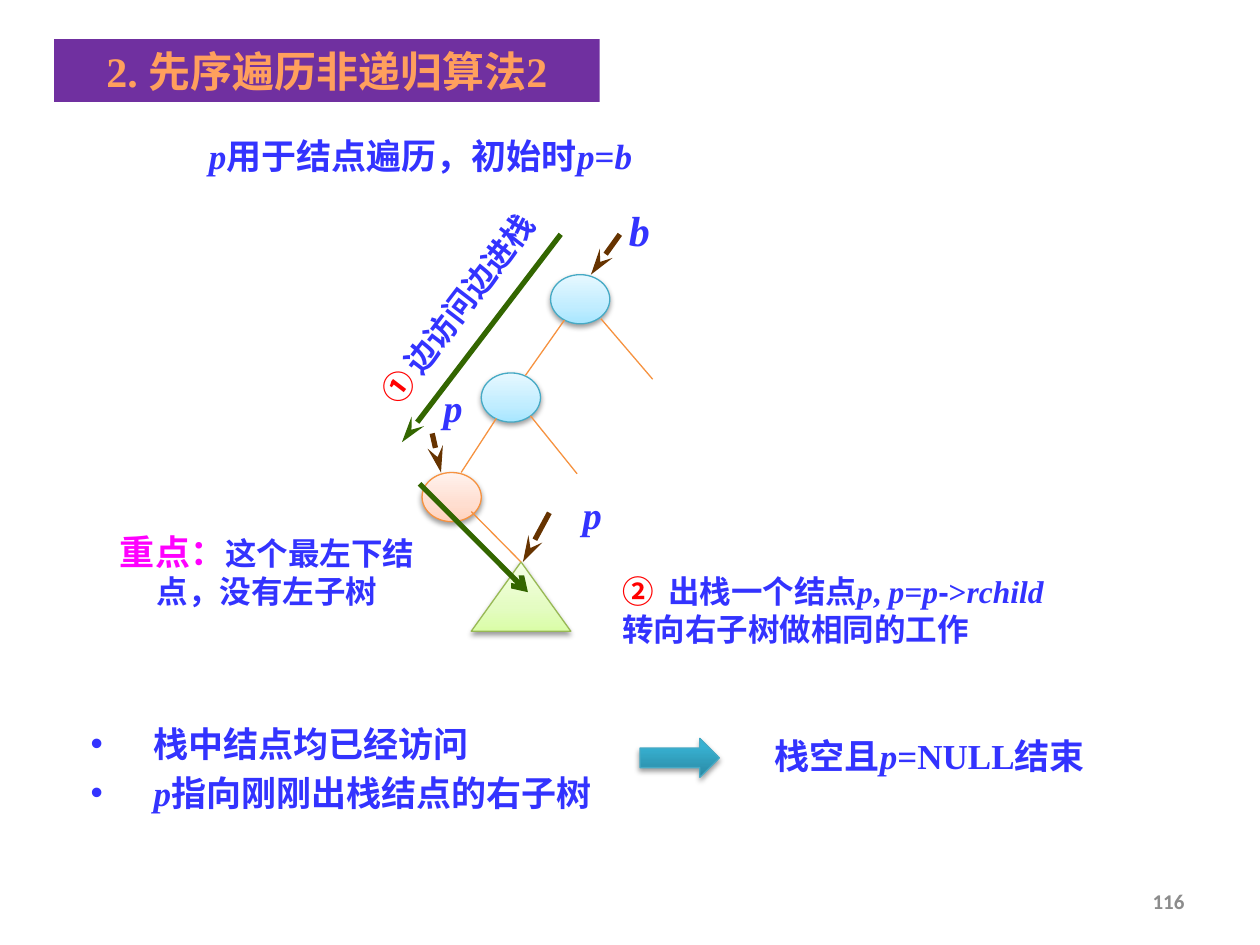
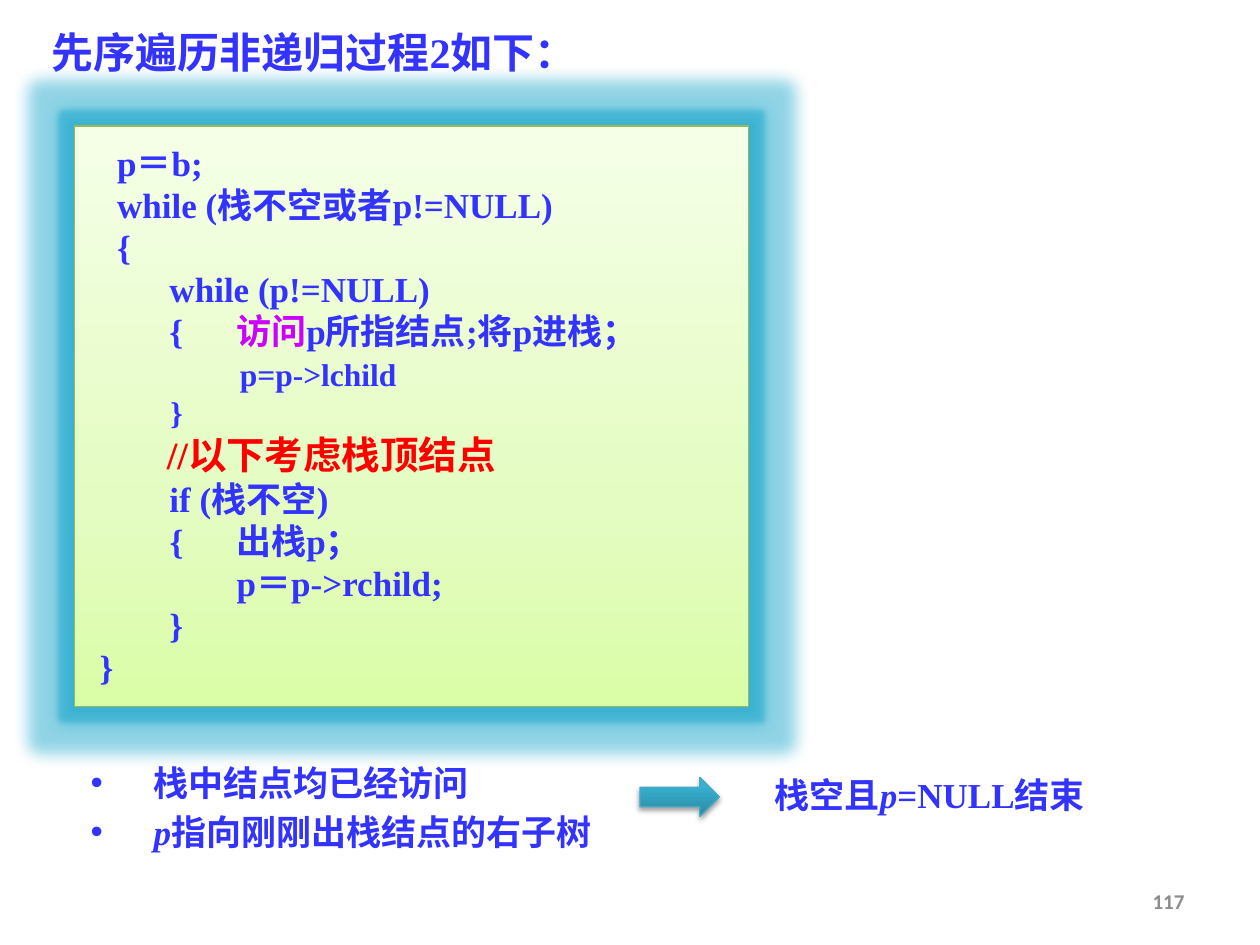
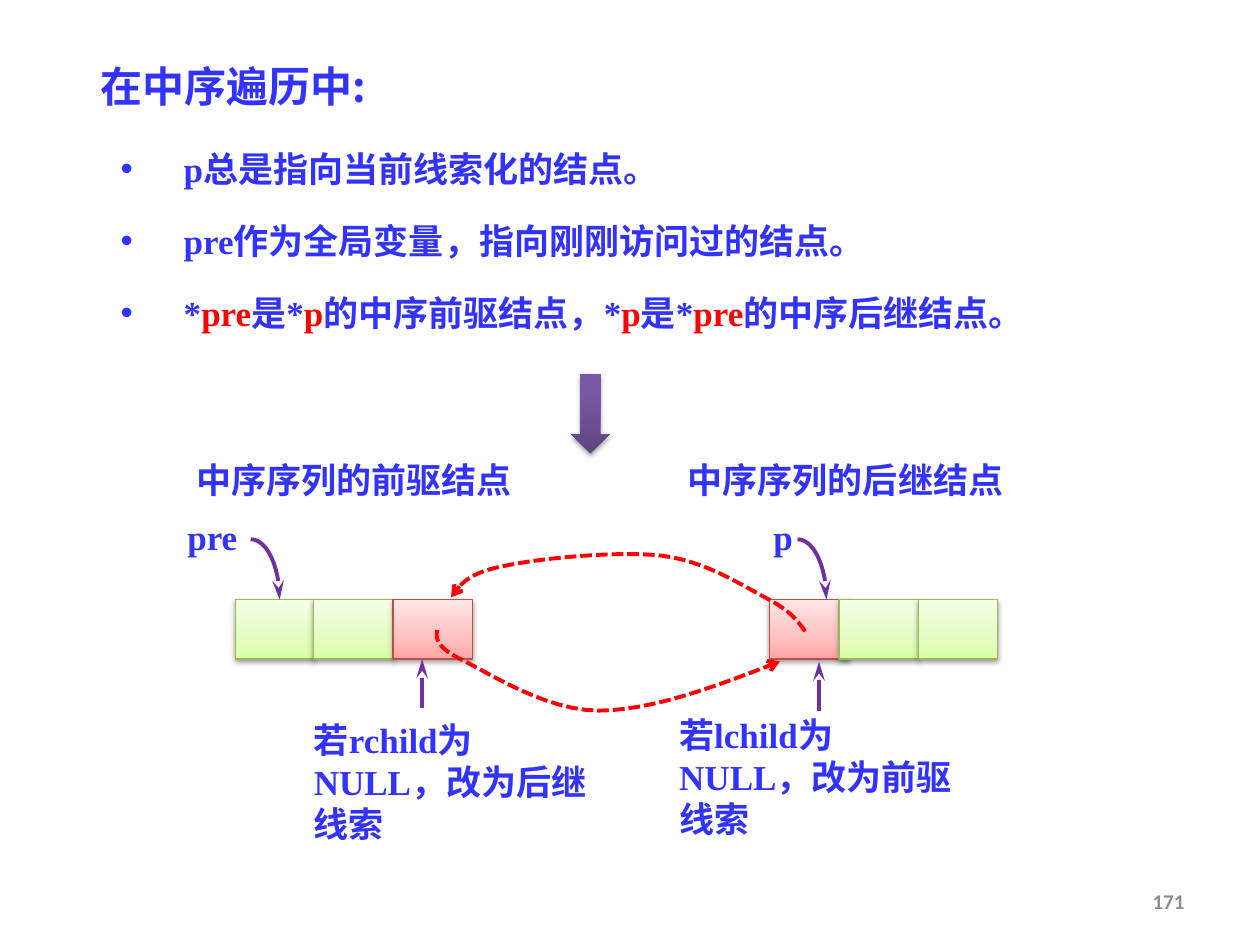
from lxml import etree
from pptx import Presentation
from pptx.dml.color import RGBColor
from pptx.enum.dml import MSO_LINE
from pptx.enum.shapes import MSO_CONNECTOR, MSO_SHAPE
from pptx.enum.text import MSO_ANCHOR, MSO_AUTO_SIZE, PP_ALIGN
from pptx.oxml.ns import qn
from pptx.util import Emu, Inches, Pt

LEFT, CENTER, RIGHT, JUSTIFY = PP_ALIGN.LEFT, PP_ALIGN.CENTER, PP_ALIGN.RIGHT, PP_ALIGN.JUSTIFY
TOP, MIDDLE = MSO_ANCHOR.TOP, MSO_ANCHOR.MIDDLE
GROW, FIXED = MSO_AUTO_SIZE.SHAPE_TO_FIT_TEXT, MSO_AUTO_SIZE.NONE
STRAIGHT, DASHED = MSO_CONNECTOR.STRAIGHT, MSO_LINE.SQUARE_DOT
OVAL, RECTANGLE, TRIANGLE = MSO_SHAPE.OVAL, MSO_SHAPE.RECTANGLE, MSO_SHAPE.ISOSCELES_TRIANGLE
RIGHT_ARROW, DOWN_ARROW = MSO_SHAPE.RIGHT_ARROW, MSO_SHAPE.DOWN_ARROW

SERIF, SANS, CHINESE, NUMBER = "Times New Roman", "Arial", "Noto Sans CJK SC", "Calibri"
HEAD_LENGTHS = {"stealth": "lg", "arrow": "med"}

COLORS = {
    "text": "3333FF", "red": "FF0000", "magenta": "FF00FF", "violet": "CC00FF",
    "band": "7030A0", "band_text": "FF9F5D", "page": "8C8C8C", "shadow": "000000",
    "edge": "F69240", "brown": "663300", "green": "336600", "purple": "7030A0",
    "glow": "36B1D2",
}
# Gradient stops from bottom to top, and the outline
PALETTES = {
    "blue": ([(0, "A7E6FF"), (35, "C1EDFF"), (100, "E7F8FF")], "46AAC5"),
    "orange": ([(0, "FFD2BD"), (35, "FFDED0"), (100, "FFF2ED")], "F69240"),
    "green": ([(0, "DAFDA7"), (35, "E4FCC2"), (100, "F5FFE7")], "98B955"),
    "red": ([(0, "FFA6A5"), (35, "FFC0BF"), (100, "FFE7E7")], "BF4C48"),
    "teal": ([(0, "2A88A2"), (80, "37B1D2"), (100, "34B4D6")], "46AAC5"),
    "purple": ([(0, "5F4480"), (80, "7B58A6"), (100, "7C57A8")], None),
}


def rgb(name):
    return RGBColor.from_string(COLORS.get(name, name))


def add_xml(parent, tag, **attributes):
    values = {key: str(value) for key, value in attributes.items()}
    return etree.SubElement(parent, qn(tag), values)


# Text
def add_run(paragraph, text, size, color="text", font=SERIF, bold=True, italic=False):
    run = paragraph.add_run()
    run.text = text
    run.font.size = Pt(size)
    run.font.name = font
    run.font.bold = bold
    run.font.italic = italic
    run.font.color.rgb = rgb(color)
    add_xml(run.font._element, "a:ea", typeface=CHINESE)


def write(shape, paragraphs, size, align=LEFT, inset=(0.1, 0.05, 0.1, 0.05), spacing=None,
          before=0, bullet=False, anchor=TOP, auto_size=GROW, **style):
    """Each paragraph is a list of runs: a string, or a string with its own style."""
    frame = shape.text_frame
    frame.word_wrap = True
    frame.auto_size = auto_size
    frame.vertical_anchor = anchor
    (frame.margin_left, frame.margin_top,
     frame.margin_right, frame.margin_bottom) = map(Inches, inset)
    for index, runs in enumerate(paragraphs):
        paragraph = frame.add_paragraph() if index else frame.paragraphs[0]
        paragraph.alignment = align
        if spacing:
            paragraph.line_spacing = spacing
        if index and before:
            paragraph.space_before = Pt(before)
        if bullet:
            properties = paragraph._p.get_or_add_pPr()
            properties.set("marL", str(Inches(0.5)))
            properties.set("indent", str(-Inches(0.5)))
            add_xml(properties, "a:buFont", typeface=SANS)
            add_xml(properties, "a:buChar", char="•")
        for item in runs:
            text, own = (item, {}) if isinstance(item, str) else item
            add_run(paragraph, text, **{"size": size, **style, **own})


def add_text(slide, box, paragraphs, size, **options):
    shape = slide.shapes.add_textbox(*map(Inches, box))
    write(shape, paragraphs, size, **options)
    return shape


def add_label(slide, box, runs, size, **options):
    return add_text(slide, box, [runs], size, inset=(0, 0, 0, 0), **options)


def italic(text):
    return text, {"italic": True}


def colored(text, color, **style):
    return text, {"color": color, **style}


# Shapes and lines
def add_effect(shape, tag, color, opacity, **attributes):
    effects = shape._element.spPr.find(qn("a:effectLst"))
    effect = add_xml(effects, tag, **attributes)
    value = add_xml(effect, "a:srgbClr", val=COLORS[color])
    add_xml(value, "a:alpha", val=opacity * 1000)


def add_figure(slide, kind, box, palette, glow=None):
    stops, outline = PALETTES[palette]
    shape = slide.shapes.add_shape(kind, *map(Inches, box))
    shape.fill.gradient()
    shape.fill.gradient_angle = 90
    stop_list = shape._element.spPr.find(qn("a:gradFill")).find(qn("a:gsLst"))
    for stop in list(stop_list):
        stop_list.remove(stop)
    for position, color in stops:
        add_xml(add_xml(stop_list, "a:gs", pos=position * 1000), "a:srgbClr", val=color)
    if outline:
        shape.line.color.rgb = rgb(outline)
        shape.line.width = Pt(0.75)
    else:
        shape.line.fill.background()
    shape.shadow.inherit = False
    if glow:
        radius, opacity = glow
        add_effect(shape, "a:glow", "glow", opacity, rad=Inches(radius))
    else:
        add_effect(shape, "a:outerShdw", "shadow", 38, blurRad=Pt(3.1), dist=Pt(1.6),
                   dir=90 * 60000, algn="ctr", rotWithShape=0)
    return shape


def style_line(shape, color, width, head):
    shape.line.color.rgb = rgb(color)
    shape.line.width = Pt(width)
    if head:
        add_xml(shape.line._get_or_add_ln(), "a:tailEnd", type=head, w="med",
                len=HEAD_LENGTHS[head])


def add_line(slide, start, end, color="edge", width=0.75, head=None):
    line = slide.shapes.add_connector(STRAIGHT, *map(Inches, start + end))
    style_line(line, color, width, head)
    add_xml(line._element.spPr, "a:effectLst")
    return line


def bezier(start, control_1, control_2, end, steps=12):
    for step in range(1, steps + 1):
        t = step / steps
        weights = ((1 - t) ** 3, 3 * t * (1 - t) ** 2, 3 * t * t * (1 - t), t ** 3)
        yield tuple(sum(weight * point[axis] for weight, point
                        in zip(weights, (start, control_1, control_2, end)))
                    for axis in (0, 1))


def add_curve(slide, points, color, head, dash=None):
    """The first point is the start; each further three make one curved segment."""
    track = [point for index in range(0, len(points) - 1, 3)
             for point in bezier(*points[index:index + 4])]
    builder = slide.shapes.build_freeform(*map(Inches, points[0]), scale=1.0)
    builder.add_line_segments([(Inches(x), Inches(y)) for x, y in track], close=False)
    curve = builder.convert_to_shape(Emu(0), Emu(0))
    curve.fill.background()
    curve.shadow.inherit = False
    if dash:
        curve.line.dash_style = dash
    style_line(curve, color, 2.25, head)


# Parts shared by the slides
def new_slide(presentation, number, box, title, band=None, **options):
    slide = presentation.slides.add_slide(presentation.slide_layouts[5])
    heading = slide.shapes.title
    heading.left, heading.top, heading.width, heading.height = map(Inches, box)
    if band:
        heading.fill.solid()
        heading.fill.fore_color.rgb = rgb(band)
    write(heading, [title], 24, auto_size=FIXED, **options)
    add_text(slide, (7.17, 6.95, 2.33, 0.4), [[str(number)]], 12, align=RIGHT,
             anchor=MIDDLE, auto_size=FIXED, font=NUMBER, color="page")
    return slide


def add_conclusion(slide, top):
    add_text(slide, (0.62, top, 4.22, 0.89),
             [["栈中结点均已经访问"], [italic("p"), "指向刚刚出栈结点的右子树"]],
             20, bullet=True, spacing=Pt(28))
    add_text(slide, (5.7, top + 0.15, 3.36, 0.44),
             [["栈空且", italic("p"), "=NULL结束"]], 20, align=CENTER)
    add_figure(slide, RIGHT_ARROW, (5.08, top + 0.23, 0.63, 0.31), "teal")


# Slides
def build_traversal_slide(presentation):
    slide = new_slide(presentation, 116, (0.43, 0.31, 4.33, 0.5),
                      ["2. 先序遍历非递归算法2"], band="band", align=CENTER, color="band_text")
    add_text(slide, (1.56, 1.02, 4.49, 0.44),
             [[italic("p"), "用于结点遍历，初始时", italic("p"), "=", italic("b")]], 20)

    # Tree
    for left, top, palette in ((4.37, 2.18, "blue"), (3.82, 2.96, "blue"), (3.35, 3.75, "orange")):
        add_figure(slide, OVAL, (left, top, 0.47, 0.39), palette)
    for start, end in (((4.48, 2.54), (4.17, 2.98)), ((3.94, 3.32), (3.66, 3.75)),
                       ((4.77, 2.53), (5.18, 3.01)), ((4.21, 3.3), (4.58, 3.76))):
        add_line(slide, start, end)
    subtree = add_figure(slide, TRIANGLE, (3.74, 4.46, 0.79, 0.55), "green")
    add_line(slide, (3.74, 4.06), (4.13, 4.46)).end_connect(subtree, 0)

    # Pointers
    for start, end in (((4.92, 1.86), (4.69, 2.18)), ((3.43, 3.44), (3.5, 3.75)),
                       ((4.36, 4.07), (4.15, 4.46))):
        add_line(slide, start, end, "brown", 3, "stealth")
    for name, box, size in (("b", (4.92, 1.62, 0.31, 0.4), 24), ("p", (3.44, 3.05, 0.31, 0.37), 22),
                            ("p", (4.47, 3.9, 0.46, 0.37), 22)):
        add_label(slide, box, [italic(name)], size, align=CENTER)

    # Steps
    add_line(slide, (4.45, 1.86), (3.19, 3.51), "green", 3, "stealth")
    add_line(slide, (3.33, 3.84), (4.19, 4.7), "green", 3, "arrow")
    visit = add_text(slide, (2.27, 2.25, 2.72, 0.4),
                     [[colored("① ", "red"), "边访问边进栈"]], 18, align=CENTER)
    visit.rotation = 307.4
    add_label(slide, (0.86, 4.21, 2.52, 0.64),
              [colored("重点：", "magenta", size=20), "这个最左下结点，没有左子树"], 18, align=CENTER)
    add_label(slide, (4.94, 4.54, 3.6, 0.61),
              [colored("②  ", "red"), "出栈一个结点", italic("p"), ", ", italic("p"), "=",
               italic("p"), ("-", {"font": SANS}), ">", italic("rchild "),
               "转向右子树做相同的工作"], 18)
    add_conclusion(slide, 5.63)


def build_code_slide(presentation):
    slide = new_slide(presentation, 117, (0.31, 0.16, 5.78, 0.5),
                      ["先序遍历非递归", ("过程", {"font": CHINESE}), "2", ("如下：", {"font": CHINESE})])
    code = [
        ["  p＝b;"],
        ["  while (栈不空或者p!=NULL)"],
        ["  {"],
        ["        while (p!=NULL)"],
        ["        {      ", colored("访问", "violet"), "p所指结点;将p进栈；"],
        ["                ", ("p=p->lchild", {"size": 18})],
        [("         }", {"size": 18})],
        [colored("       //以下考虑栈顶结点", "red", size=22)],
        ["        if (栈不空)"],
        ["　　{      出栈p；"],
        ["　　　    p＝p->rchild;"],
        ["        }"],
        ["}"],
    ]
    # Code panel with a wide pale glow and a narrow strong one
    box = (0.59, 1, 5.35, 4.61)
    add_figure(slide, RECTANGLE, box, "green", glow=(0.25, 55))
    panel = add_figure(slide, RECTANGLE, box, "green", glow=(0.08, 65))
    write(panel, code, 20, inset=(0.2, 0.12, 0.1, 0.12), auto_size=FIXED)
    add_conclusion(slide, 5.94)


def build_thread_slide(presentation):
    slide = new_slide(presentation, 171, (0.7, 0.31, 3.98, 0.63), ["在中序遍历中:"],
                      align=JUSTIFY, spacing=1.3, font=CHINESE)
    pre, p = colored("pre", "red"), colored("p", "red")
    add_text(slide, (0.86, 1.02, 8.28, 1.75),
             [["p总是指向当前线索化的结点。"],
              ["pre作为全局变量，指向刚刚访问过的结点。"],
              ["*", pre, "是*", p, "的中序前驱结点，*", p, "是*", pre, "的中序后继结点。"]],
             20, align=JUSTIFY, bullet=True, spacing=1.3, before=10)
    add_figure(slide, DOWN_ARROW, (4.53, 2.97, 0.31, 0.63), "purple")

    # Nodes
    for left, palette in ((1.87, "green"), (2.49, "green"), (3.12, "red"),
                          (6.11, "red"), (6.66, "green"), (7.29, "green")):
        add_figure(slide, RECTANGLE, (left, 4.76, 0.63, 0.47), palette)
    for left, text in ((1.46, "中序序列的前驱结点"), (5.36, "中序序列的后继结点")):
        add_text(slide, (left, 3.59, 2.99, 0.43), [[text]], 20)

    # Pointers to the nodes
    for name, label_left, x in (("pre", 1.33, 1.99), ("p", 5.86, 6.33)):
        add_label(slide, (label_left, 4.09, 0.71, 0.33), [name], 20, align=CENTER)
        add_curve(slide, [(x, 4.28), (x + 0.13, 4.28), (x + 0.23, 4.5), (x + 0.23, 4.76)],
                  "purple", "stealth")

    # Notes on the link fields
    for x, y, box, text in (
            (3.35, 5.23, (2.49, 5.7, 2.28, 0.67), "若rchild为NULL，改为后继线索"),
            (6.5, 5.25, (5.39, 5.66, 2.18, 0.67), "若lchild为NULL，改为前驱线索")):
        add_line(slide, (x, y + 0.39), (x, y), "purple", 2.25, "stealth")
        add_label(slide, box, [text], 20)

    # Threads between the nodes
    to_successor = [(3.47, 5), (3.46, 5.06), (3.45, 5.13), (3.67, 5.24), (3.88, 5.34),
                    (4.33, 5.64), (4.75, 5.64), (5.17, 5.64), (5.68, 5.45), (6.19, 5.25)]
    to_predecessor = [(6.39, 5.01), (6.32, 4.91), (6.26, 4.84), (6.07, 4.74), (5.88, 4.64),
                      (5.59, 4.45), (5.25, 4.41), (4.91, 4.37), (4.29, 4.43), (4.01, 4.49),
                      (3.74, 4.54), (3.66, 4.62), (3.58, 4.74)]
    for thread in (to_successor, to_predecessor):
        add_curve(slide, thread, "red", "arrow", DASHED)


def main():
    presentation = Presentation()
    presentation.slide_width = Inches(10)
    presentation.slide_height = Inches(7.5)
    build_traversal_slide(presentation)
    build_code_slide(presentation)
    build_thread_slide(presentation)
    presentation.save("out.pptx")


if __name__ == "__main__":
    main()
